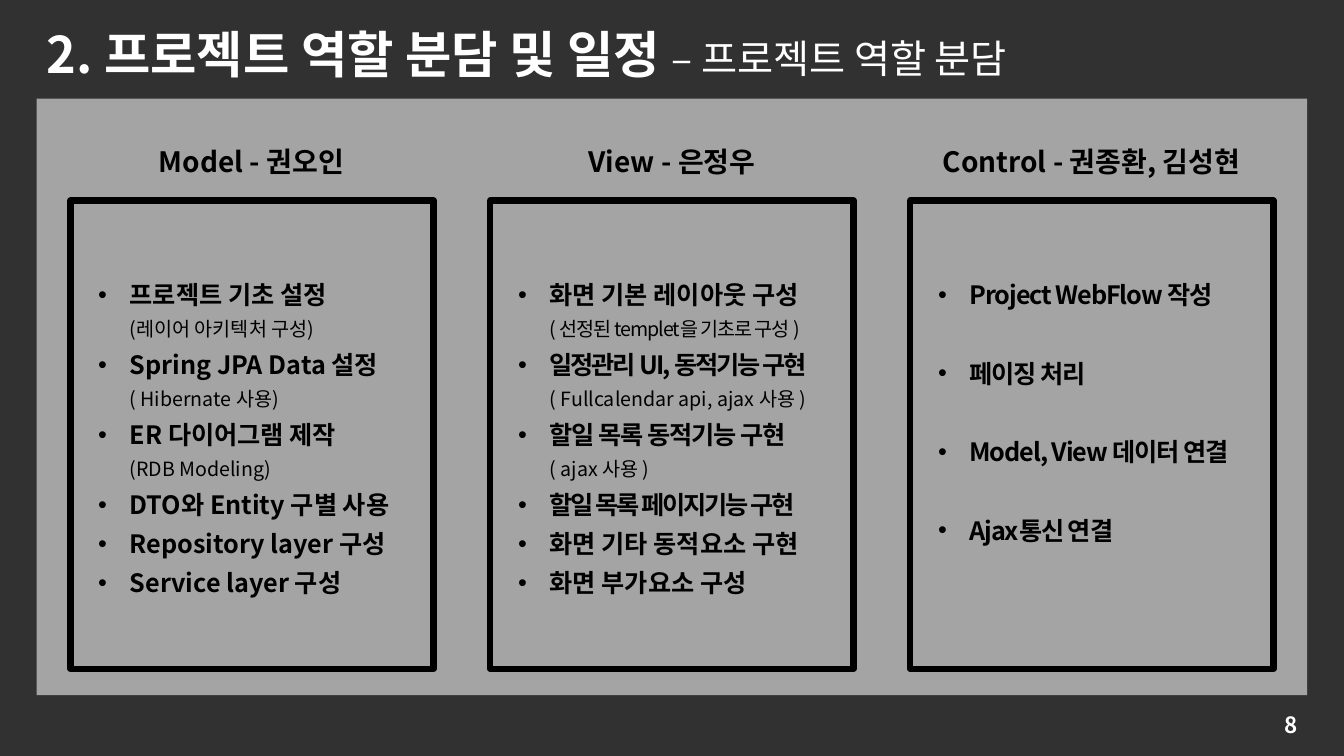
from dataclasses import dataclass

from lxml.etree import SubElement
from pptx import Presentation
from pptx.dml.color import RGBColor
from pptx.enum.shapes import MSO_SHAPE
from pptx.enum.text import MSO_ANCHOR, MSO_AUTO_SIZE, PP_ALIGN
from pptx.oxml.ns import qn
from pptx.slide import Slide
from pptx.text.text import TextFrame, _Paragraph
from pptx.util import Emu, Pt

EMU_PER_PX = 9525
FONT = "Noto Sans CJK KR"
BLACK = RGBColor(0x00, 0x00, 0x00)
WHITE = RGBColor(0xFF, 0xFF, 0xFF)
BACKDROP = RGBColor(0x0D, 0x0D, 0x0D)
PANEL = RGBColor(0xF2, 0xF2, 0xF2)

COLUMN_LEFT, COLUMN_PITCH, COLUMN_WIDTH = 67, 400, 346
FRAME_TOP, FRAME_HEIGHT = 191, 446
HEADING_TOP, HEADING_HEIGHT = 133, 42
LIST_TOP, LIST_INSET = 253, 17
BULLET_INDENT = 30


@dataclass(frozen=True)
class Box:
    left: int
    top: int
    width: int
    height: int

    def emu(self) -> tuple[Emu, ...]:
        return tuple(px(side) for side in (self.left, self.top, self.width, self.height))


@dataclass(frozen=True)
class Task:
    title: str
    detail: str = ""
    title_spacing: float = 0
    detail_spacing: float = 0


@dataclass(frozen=True)
class Role:
    heading: str
    heading_width: int
    list_height: int
    tasks: tuple[Task, ...]
    task_gap: int = 0


ROLES = (
    Role("Model - 권오인", 311, 322, (
        Task("프로젝트 기초 설정", "(레이어 아키텍처 구성)"),
        Task("Spring JPA Data 설정", "( Hibernate 사용)"),
        Task("ER 다이어그램 제작", "(RDB Modeling)"),
        Task("DTO와 Entity 구별 사용"),
        Task("Repository layer 구성"),
        Task("Service layer 구성"),
    )),
    Role("View - 은정우", 276, 324, (
        Task("화면 기본 레이아웃 구성", "( 선정된 templet을 기초로 구성 )", 0, -0.8),
        Task("일정관리 UI, 동적기능 구현", "( Fullcalendar api, ajax 사용 )", -1.5),
        Task("할일 목록 동적기능 구현", "( ajax 사용 )", -0.8),
        Task("할일 목록 페이지기능 구현", title_spacing=-1.5),
        Task("화면 기타 동적요소 구현"),
        Task("화면 부가요소 구성"),
    )),
    Role("Control - 권종환, 김성현", 353, 275, (
        Task("Project WebFlow 작성", title_spacing=-0.8),
        Task("페이징 처리", title_spacing=-0.8),
        Task("Model, View 데이터 연결", title_spacing=-0.8),
        Task("Ajax통신 연결", title_spacing=-0.8),
    ), task_gap=28),
)


def px(length: int) -> Emu:
    return Emu(length * EMU_PER_PX)


def add_layer(slide: Slide, box: Box, color: RGBColor, opacity: int) -> None:
    """Add a borderless rectangle whose opacity is given in percent."""
    layer = slide.shapes.add_shape(MSO_SHAPE.RECTANGLE, *box.emu())
    layer.shadow.inherit = False
    layer.line.fill.background()
    layer.fill.solid()
    layer.fill.fore_color.rgb = color
    tint = layer.fill._xPr.find(qn("a:solidFill"))[0]
    SubElement(tint, qn("a:alpha"), val=str(opacity * 1000))


def add_frame(slide: Slide, box: Box) -> None:
    frame = slide.shapes.add_shape(MSO_SHAPE.RECTANGLE, *box.emu())
    frame.shadow.inherit = False
    frame.fill.background()
    frame.line.color.rgb = BLACK
    frame.line.width = Pt(4.5)


def add_text_area(slide: Slide, box: Box, grows: bool = True) -> TextFrame:
    area = slide.shapes.add_textbox(*box.emu()).text_frame
    area.word_wrap = True
    area.auto_size = MSO_AUTO_SIZE.SHAPE_TO_FIT_TEXT if grows else MSO_AUTO_SIZE.NONE
    return area


def add_words(paragraph: _Paragraph, words: str, size: int, bold: bool = True,
              color: RGBColor = BLACK, spacing: float = 0) -> None:
    run = paragraph.add_run()
    run.text = words
    for attribute, value in {"size": Pt(size), "bold": bold, "name": FONT}.items():
        setattr(run.font, attribute, value)
    run.font.color.rgb = color
    properties = run._r.get_or_add_rPr()
    SubElement(properties, qn("a:ea"), typeface=FONT)
    if spacing:
        properties.set("spc", str(round(spacing * 100)))


def make_bullet(paragraph: _Paragraph) -> None:
    properties = paragraph._p.get_or_add_pPr()
    properties.set("marL", str(px(BULLET_INDENT)))
    properties.set("indent", str(-px(BULLET_INDENT)))
    SubElement(properties, qn("a:buFont"), typeface="Arial")
    SubElement(properties, qn("a:buChar"), char="•")


def add_tasks(slide: Slide, box: Box, role: Role) -> None:
    area = add_text_area(slide, box)
    for index, task in enumerate(role.tasks):
        paragraph = area.add_paragraph() if index else area.paragraphs[0]
        make_bullet(paragraph)
        paragraph.line_spacing = 1.3
        if index and role.task_gap:
            paragraph.space_before = Pt(role.task_gap)
        add_words(paragraph, task.title, 18, spacing=task.title_spacing)
        if task.detail:
            paragraph.add_line_break()
            add_words(paragraph, task.detail, 14, bold=False, spacing=task.detail_spacing)


def add_heading(slide: Slide, box: Box, heading: str) -> None:
    paragraph = add_text_area(slide, box).paragraphs[0]
    paragraph.alignment = PP_ALIGN.CENTER
    add_words(paragraph, heading, 20)


def add_title(slide: Slide) -> None:
    paragraph = add_text_area(slide, Box(35, 17, 1105, 68)).paragraphs[0]
    add_words(paragraph, "2. 프로젝트 역할 분담 및 일정 ", 36, color=WHITE)
    add_words(paragraph, "– 프로젝트 역할 분담", 28, bold=False, color=WHITE)


def add_page_number(slide: Slide) -> None:
    area = add_text_area(slide, Box(957, 671, 288, 38), grows=False)
    area.vertical_anchor = MSO_ANCHOR.MIDDLE
    area.paragraphs[0].alignment = PP_ALIGN.RIGHT
    add_words(area.paragraphs[0], "8", 16, color=WHITE)


def main() -> None:
    presentation = Presentation()
    presentation.slide_width, presentation.slide_height = px(1280), px(720)
    slide = presentation.slides.add_slide(presentation.slide_layouts[6])
    add_layer(slide, Box(0, 0, 1280, 720), BACKDROP, 85)
    add_layer(slide, Box(35, 94, 1210, 568), PANEL, 60)
    add_title(slide)
    add_page_number(slide)
    for index, role in enumerate(ROLES):
        left = COLUMN_LEFT + index * COLUMN_PITCH
        heading_left = left + (COLUMN_WIDTH - role.heading_width) // 2
        list_width = COLUMN_WIDTH - 2 * LIST_INSET
        add_frame(slide, Box(left, FRAME_TOP, COLUMN_WIDTH, FRAME_HEIGHT))
        add_heading(slide, Box(heading_left, HEADING_TOP, role.heading_width, HEADING_HEIGHT),
                    role.heading)
        add_tasks(slide, Box(left + LIST_INSET, LIST_TOP, list_width, role.list_height), role)
    presentation.save("out.pptx")


if __name__ == "__main__":
    main()
